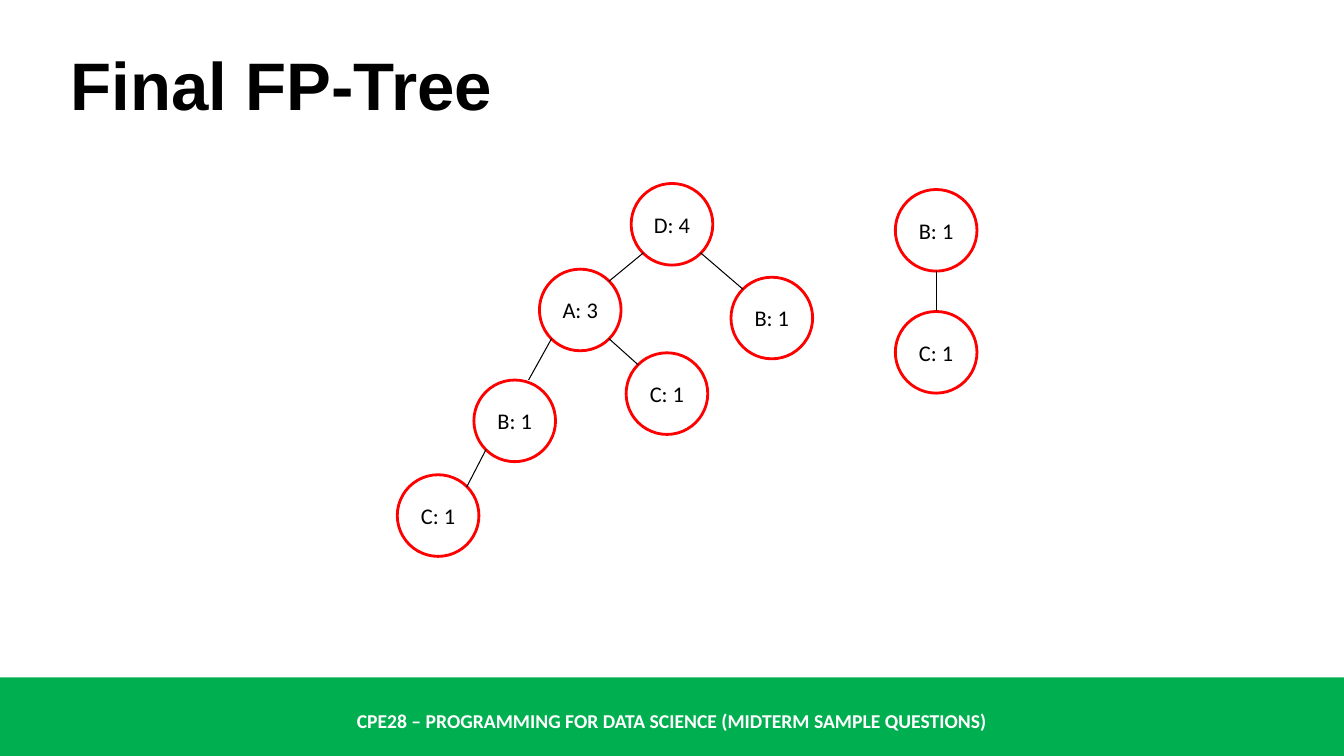
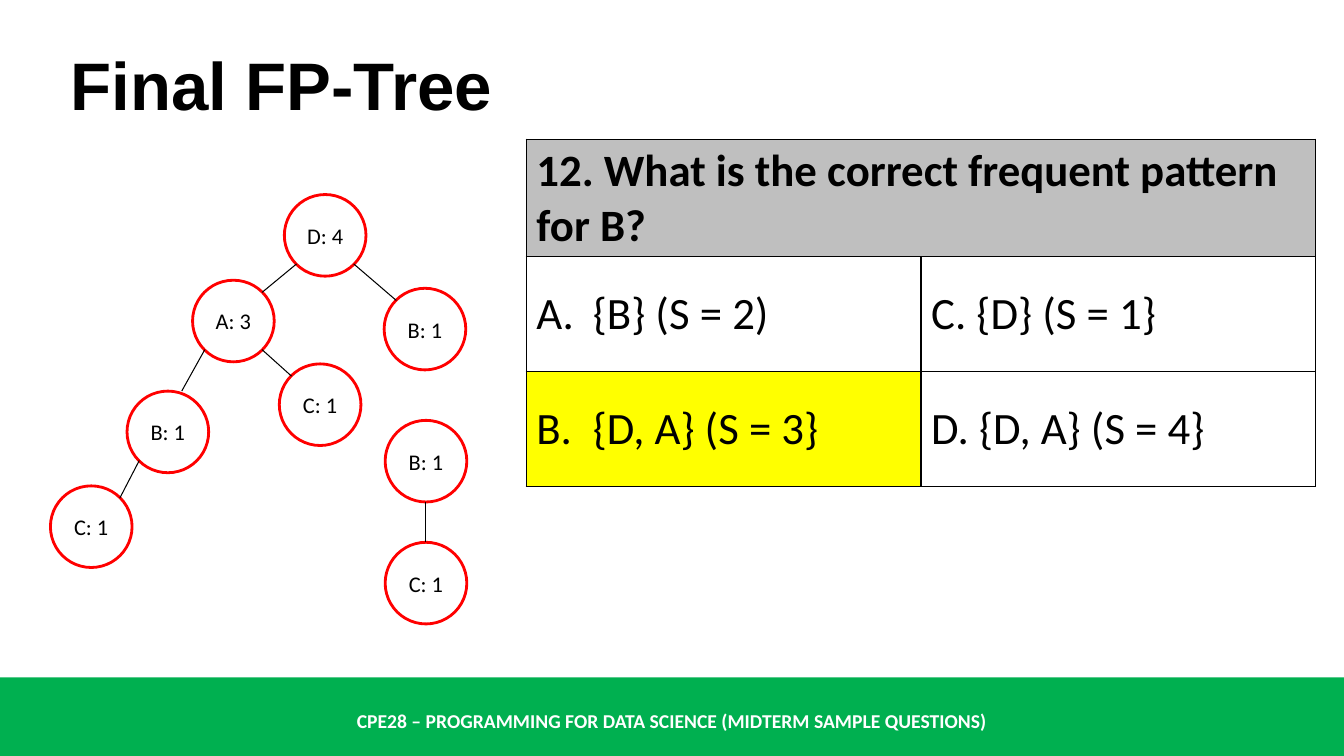
from dataclasses import dataclass
from typing import NamedTuple

from lxml import etree
from pptx import Presentation
from pptx.dml.color import RGBColor
from pptx.enum.shapes import MSO_CONNECTOR as Connector, MSO_SHAPE as Shape
from pptx.enum.text import MSO_ANCHOR as Anchor, MSO_AUTO_SIZE as AutoSize, PP_ALIGN as Align
from pptx.oxml import parse_xml
from pptx.oxml.ns import nsdecls, qn
from pptx.util import Inches, Pt

BLACK = RGBColor(0x00, 0x00, 0x00)
WHITE = RGBColor(0xFF, 0xFF, 0xFF)
GREEN = RGBColor(0x00, 0xB0, 0x50)
RED = RGBColor(0xFF, 0x00, 0x00)
GRAY = RGBColor(0xBF, 0xBF, 0xBF)
YELLOW = RGBColor(0xFF, 0xFF, 0x00)

TITLE_FONT = "Arial"
BODY_FONT = "Calibri"
SLIDE_WIDTH, SLIDE_HEIGHT = 13.33, 7.5
FOOTER = "CPE28 – PROGRAMMING FOR DATA SCIENCE (MIDTERM SAMPLE QUESTIONS)"
DIAMETER = 0.81


class Point(NamedTuple):
    x: float
    y: float


# Attachment points as fractions of a node's bounding box
TOP = Point(0.5, 0)
TOP_OFFSET = Point(0.67, 0)
BOTTOM = Point(0.5, 1)
TOP_LEFT = Point(0.15, 0.15)
TOP_RIGHT = Point(0.85, 0.15)
BOTTOM_LEFT = Point(0.15, 0.85)
BOTTOM_RIGHT = Point(0.85, 0.85)


@dataclass(frozen=True)
class Node:
    label: str
    x: float
    y: float

    def attachment(self, origin: Point, fraction: Point) -> Point:
        return Point(origin.x + self.x + fraction.x * DIAMETER,
                     origin.y + self.y + fraction.y * DIAMETER)


class Edge(NamedTuple):
    parent: int
    leaves_at: Point
    child: int
    enters_at: Point


@dataclass(frozen=True)
class Tree:
    nodes: list[Node]
    edges: list[Edge]


class Answer(NamedTuple):
    row: int
    column: int
    text: str
    number: int = 0
    fill: RGBColor | None = None


# Node positions are relative to the top left of each tree
MAIN_TREE = Tree(
    [Node("D: 4", 2.32, 0), Node("A: 3", 1.41, 0.85), Node("B: 1", 0.76, 1.95),
     Node("C: 1", 0, 2.89), Node("C: 1", 2.27, 1.68), Node("B: 1", 3.31, 0.93)],
    [Edge(0, BOTTOM_LEFT, 1, TOP_RIGHT), Edge(1, BOTTOM_LEFT, 2, TOP_OFFSET),
     Edge(2, BOTTOM_LEFT, 3, TOP_RIGHT), Edge(1, BOTTOM_RIGHT, 4, TOP_LEFT),
     Edge(0, BOTTOM_RIGHT, 5, TOP_LEFT)])
SIDE_TREE = Tree([Node("B: 1", 0, 0), Node("C: 1", 0, 1.21)],
                 [Edge(0, BOTTOM, 1, TOP)])

QUESTION = "12. What is the correct frequent pattern for B?"
ANSWERS = [
    Answer(1, 0, "{B} (S = 2)", number=1),
    Answer(1, 1, "C. {D} (S = 1}"),
    Answer(2, 0, "{D, A} (S = 3}", number=2, fill=YELLOW),
    Answer(2, 1, "D. {D, A} (S = 4}"),
]


def add_text(paragraph, text: str, size: int, color: RGBColor = BLACK,
             bold: bool = False, font_name: str = BODY_FONT) -> None:
    run = paragraph.add_run()
    run.text = text
    font = run.font
    font.name, font.size, font.bold = font_name, Pt(size), bold
    font.color.rgb = color


def add_footer(slide, layout) -> None:
    """Build the green band and its caption, and keep them on the layout."""
    for placeholder in list(layout.placeholders):
        if placeholder.placeholder_format.idx:
            layout.shapes.element.remove(placeholder.element)
    band = slide.shapes.add_shape(Shape.RECTANGLE, 0, Inches(6.72),
                                  Inches(SLIDE_WIDTH), Inches(0.78))
    band.shadow.inherit = False
    band.fill.solid()
    band.fill.fore_color.rgb = GREEN
    band.line.fill.background()

    caption = slide.shapes.add_textbox(0, Inches(6.95), Inches(SLIDE_WIDTH), Inches(0.4))
    frame = caption.text_frame
    frame.word_wrap = True
    frame.vertical_anchor = Anchor.MIDDLE
    frame.paragraphs[0].alignment = Align.CENTER
    add_text(frame.paragraphs[0], FOOTER, 14, WHITE, bold=True)
    for shape in (band, caption):
        layout.shapes.element.insert_element_before(shape.element, "p:extLst")


def add_titled_slide(presentation, layout, text: str):
    slide = presentation.slides.add_slide(layout)
    title = slide.shapes.title
    title.left, title.top = Inches(0.6), Inches(0.38)
    title.width, title.height = Inches(11.76), Inches(0.91)
    frame = title.text_frame
    frame.vertical_anchor = Anchor.TOP
    frame.auto_size = AutoSize.SHAPE_TO_FIT_TEXT
    frame.paragraphs[0].alignment = Align.LEFT
    add_text(frame.paragraphs[0], text, 48, bold=True, font_name=TITLE_FONT)
    return slide


def add_node(slide, node: Node, origin: Point) -> None:
    circle = slide.shapes.add_shape(
        Shape.OVAL, Inches(origin.x + node.x), Inches(origin.y + node.y),
        Inches(DIAMETER), Inches(DIAMETER))
    circle.shadow.inherit = False
    circle.fill.background()
    circle.line.color.rgb = RED
    circle.line.width = Pt(2)
    frame = circle.text_frame
    frame.margin_left = frame.margin_right = 0
    frame.vertical_anchor = Anchor.MIDDLE
    frame.paragraphs[0].alignment = Align.CENTER
    add_text(frame.paragraphs[0], node.label, 16)


def add_tree(slide, tree: Tree, origin: Point) -> None:
    for node in tree.nodes:
        add_node(slide, node, origin)
    for edge in tree.edges:
        start = tree.nodes[edge.parent].attachment(origin, edge.leaves_at)
        end = tree.nodes[edge.child].attachment(origin, edge.enters_at)
        connector = slide.shapes.add_connector(
            Connector.STRAIGHT, Inches(start.x), Inches(start.y),
            Inches(end.x), Inches(end.y))
        connector.line.color.rgb = BLACK
        connector.line.width = Pt(0.75)
        etree.SubElement(connector.element.spPr, qn("a:effectLst"))


def format_cell(cell, fill: RGBColor | None) -> None:
    cell.vertical_anchor = Anchor.MIDDLE
    if fill is None:
        cell.fill.background()
    else:
        cell.fill.solid()
        cell.fill.fore_color.rgb = fill
    # Borders come before the fill in the cell properties
    properties = cell._tc.get_or_add_tcPr()
    for index, side in enumerate(("lnL", "lnR", "lnT", "lnB")):
        properties.insert(index, parse_xml(
            f'<a:{side} {nsdecls("a")} w="{Pt(1)}"><a:solidFill>'
            f'<a:srgbClr val="{BLACK}"/></a:solidFill></a:{side}>'))


def add_letter(paragraph, number: int) -> None:
    """Number a paragraph A., B., ... with a hanging indent."""
    properties = paragraph._p.get_or_add_pPr()
    indent = Inches(0.56)
    properties.set("marL", str(indent))
    properties.set("indent", str(-indent))
    etree.SubElement(properties, qn("a:buFont"), typeface="+mj-lt")
    etree.SubElement(properties, qn("a:buAutoNum"), type="alphaUcPeriod",
                     startAt=str(number))


def add_question_table(slide) -> None:
    table = slide.shapes.add_table(3, 2, Inches(5.22), Inches(1.38),
                                   Inches(7.83), Inches(3.42)).table
    table.first_row = table.horz_banding = False
    for row in table.rows:
        row.height = Inches(1.14)

    question = table.cell(0, 0)
    question.merge(table.cell(0, 1))
    for column in range(2):
        format_cell(table.cell(0, column), GRAY)
    add_text(question.text_frame.paragraphs[0], QUESTION, 32, bold=True)

    for answer in ANSWERS:
        cell = table.cell(answer.row, answer.column)
        format_cell(cell, answer.fill)
        paragraph = cell.text_frame.paragraphs[0]
        if answer.number:
            add_letter(paragraph, answer.number)
        add_text(paragraph, answer.text, 32)


def main() -> None:
    presentation = Presentation()
    presentation.slide_width = Inches(SLIDE_WIDTH)
    presentation.slide_height = Inches(SLIDE_HEIGHT)
    layout = presentation.slide_layouts[5]

    # Slide 1: the finished trees
    tree_slide = add_titled_slide(presentation, layout, "Final FP-Tree")
    add_footer(tree_slide, layout)
    add_tree(tree_slide, MAIN_TREE, Point(3.94, 1.82))
    add_tree(tree_slide, SIDE_TREE, Point(8.88, 1.88))

    # Slide 2: the same trees beside the question
    question_slide = add_titled_slide(presentation, layout, "Final FP-Tree")
    add_tree(question_slide, MAIN_TREE, Point(0.5, 1.93))
    add_tree(question_slide, SIDE_TREE, Point(3.82, 4.17))
    add_question_table(question_slide)

    presentation.save("out.pptx")


if __name__ == "__main__":
    main()
